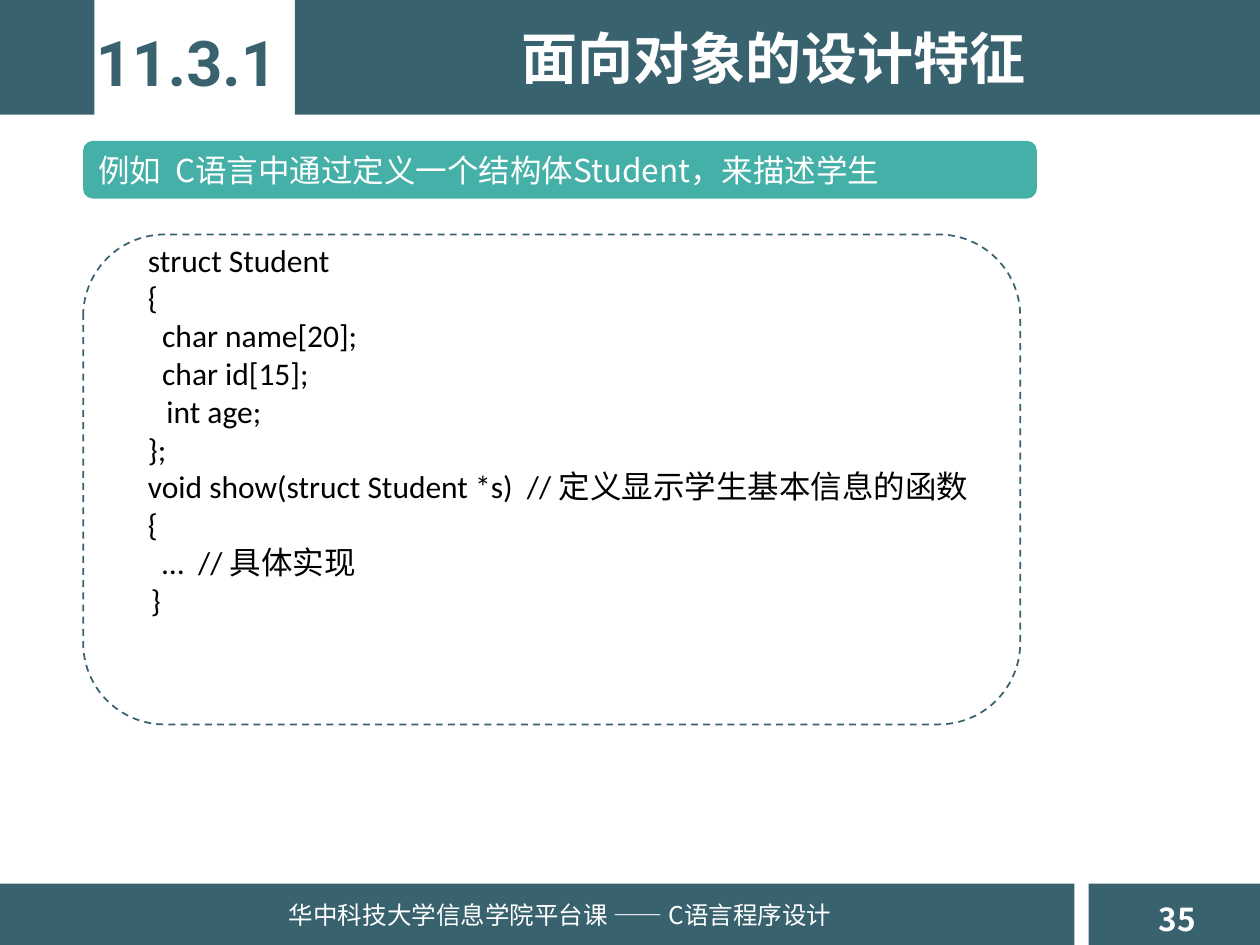
from pptx import Presentation
from pptx.util import Pt
from pptx.dml.color import RGBColor as Rgb
from pptx.enum.dml import MSO_LINE as Dash
from pptx.enum.shapes import MSO_SHAPE as Kind
from pptx.enum.text import PP_ALIGN as Align, MSO_ANCHOR as Anchor

HUES = {"slate": "39626F", "teal": "45B0A8", "white": "FFFFFF", "black": "000000"}
SANS = "Noto Sans CJK SC"

deck = Presentation()
deck.slide_width, deck.slide_height = Pt(720), Pt(540)
slide = deck.slides.add_slide(deck.slide_layouts[6])


def add_box(kind, area, fill=None):
    box = slide.shapes.add_shape(kind, *map(Pt, area))
    box.shadow.inherit = False
    box.line.fill.background()
    if fill:
        box.fill.solid()
        box.fill.fore_color.rgb = Rgb.from_string(HUES[fill])
    else:
        box.fill.background()
    return box


def write(frame, lines, size, face, hue, bold=False, align=Align.LEFT, wrap=True):
    frame.word_wrap = wrap
    frame.text = "\n".join(lines)
    for para in frame.paragraphs:
        para.alignment = align
        font = para.font
        font.size, font.name, font.bold = Pt(size), face, bold
        font.color.rgb = Rgb.from_string(HUES[hue])


bars = [
    (0, 0, 54, 65.5),
    (168.5, 0, 551.5, 65.5),
    (0, 505, 614, 35),
    (622, 505, 98, 35),
]
for area in bars:
    add_box(Kind.RECTANGLE, area, "slate")

labels = [
    ((655, 510.5, 40, 29), "35", 18, SANS, "white", True, Align.LEFT, False),
    ((158, 510.5, 331, 29), "华中科技大学信息学院平台课 —— C语言程序设计",
     14, SANS, "white", False, Align.LEFT, False),
    ((47.5, 10, 118, 51), "11.3.1", 36, "Roboto", "slate", True, Align.CENTER, False),
    ((208, 10, 468, 46), "面向对象的设计特征", 32, SANS, "white", True, Align.CENTER, True),
]
for area, text, *style in labels:
    label = slide.shapes.add_textbox(*map(Pt, area))
    write(label.text_frame, [text], *style)

lead = add_box(Kind.ROUNDED_RECTANGLE, (47.5, 80.5, 545, 33), "teal")
lead.text_frame.vertical_anchor = Anchor.MIDDLE
write(lead.text_frame, ["例如  C语言中通过定义一个结构体Student，来描述学生"], 18, SANS, "white")

code = [
    "struct Student",
    "{",
    "  char name[20];",
    "  char id[15];",
    "int age;",
    "};",
    "void show(struct Student *s)  // 定义显示学生基本信息的函数",
    "{",
    "  …  // 具体实现",
    "   }",
]
list_box = slide.shapes.add_textbox(Pt(67), Pt(134), Pt(515.5), Pt(225))
write(list_box.text_frame, code, 18, "Calibri", "black", align=Align.JUSTIFY)
paras = list_box.text_frame.paragraphs
for para in paras[:-1]:
    step = 21 if para.text == "int age;" else 10.5
    para._p.get_or_add_pPr().set("indent", str(Pt(step)))
paras[-1].alignment = Align.LEFT

edge = add_box(Kind.ROUNDED_RECTANGLE, (47.5, 134, 535.5, 280))
edge.line.color.rgb = Rgb.from_string(HUES["slate"])
edge.line.width = Pt(1)
edge.line.dash_style = Dash.DASH

deck.save("out.pptx")
